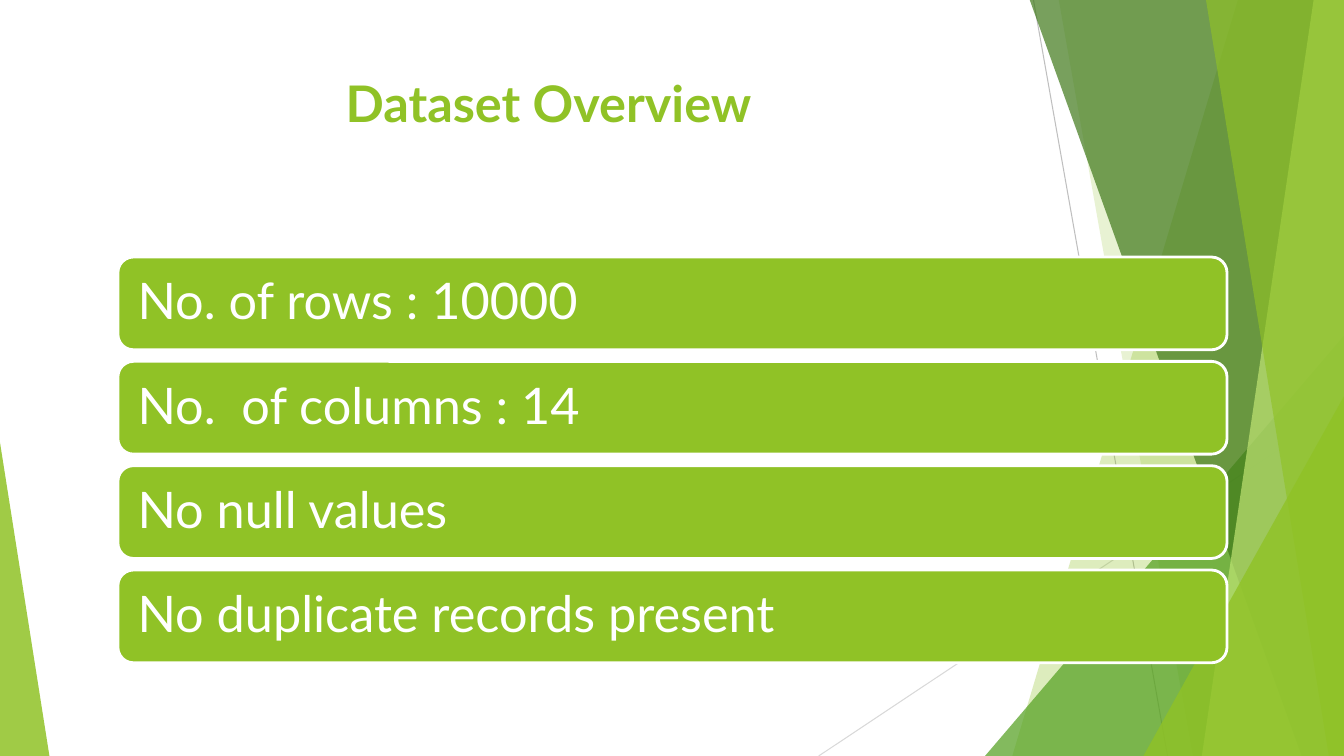
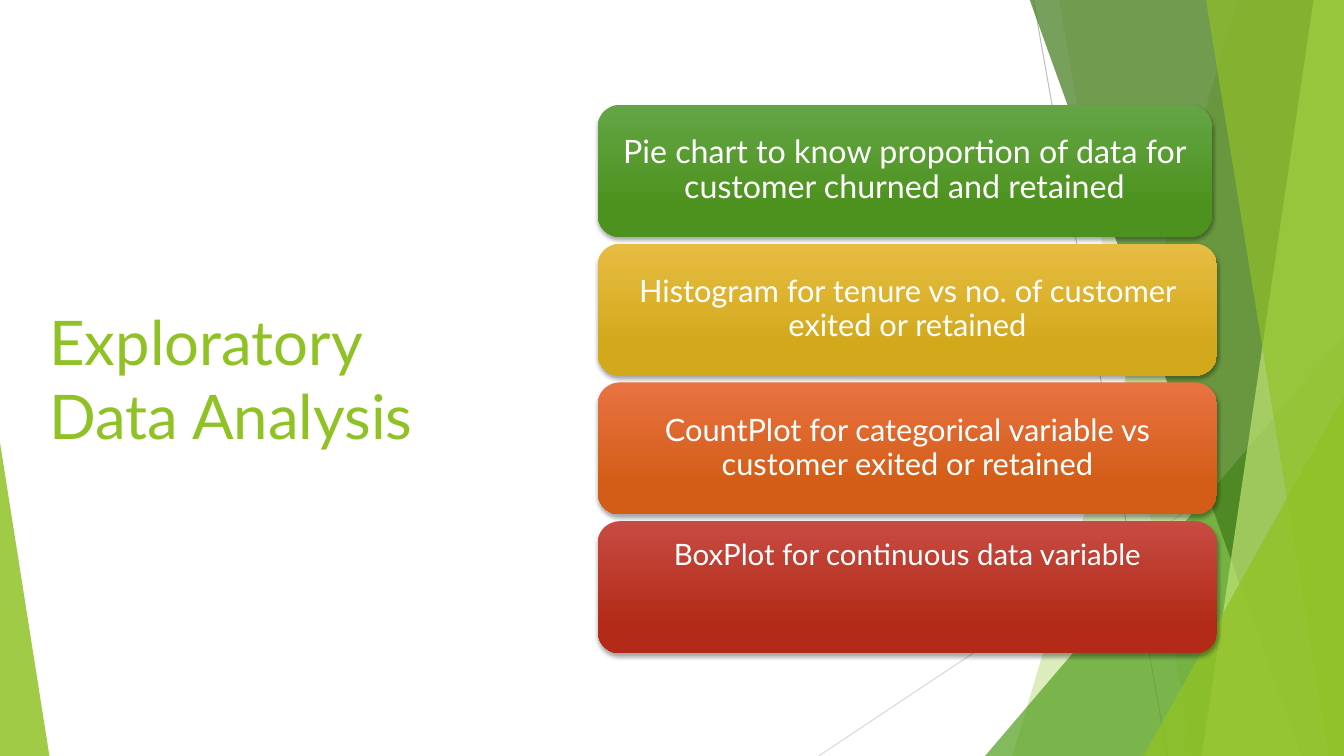
from pptx import Presentation
from pptx.dml.color import RGBColor
from pptx.enum import shapes, text
from pptx.oxml import ns, parse_xml
from pptx.util import Inches, Pt

COLORS = {
    "lime": "90C226", "green": "54A021", "forest": "3F7819", "pale": "C0E474",
    "white": "FFFFFF", "gray": "BFBFBF", "silver": "D9D9D9",
}
FONT = "Lato"
WIDTH, HEIGHT = 13.33, 7.5
BLEED = -0.01


def rgb(name):
    """Return the colour for a palette name or a hex string."""
    return RGBColor.from_string(COLORS.get(name, name))


def write(shape, words, size, color, align, anchor, insets, spacing=1.0, bold=False):
    """Set a shape's text as one formatted run; insets are across, top, bottom."""
    frame = shape.text_frame
    frame.word_wrap = True
    frame.auto_size = text.MSO_AUTO_SIZE.NONE
    frame.vertical_anchor = anchor
    across, top, bottom = insets
    frame.margin_left = frame.margin_right = Inches(across)
    frame.margin_top, frame.margin_bottom = Inches(top), Inches(bottom)
    paragraph = frame.paragraphs[0]
    paragraph.alignment = align
    paragraph.line_spacing = spacing
    run = paragraph.add_run()
    run.text = words
    run.font.name, run.font.size, run.font.bold = FONT, Pt(size), bold
    run.font.color.rgb = rgb(color)


LEFT, CENTER = text.PP_ALIGN.LEFT, text.PP_ALIGN.CENTER
TOP, MIDDLE = text.MSO_ANCHOR.TOP, text.MSO_ANCHOR.MIDDLE
TITLE_INSETS = (0.1, 0.05, 0.05)

deck = Presentation()
deck.slide_width, deck.slide_height = Inches(WIDTH), Inches(HEIGHT)
layout = deck.slide_layouts.get_by_name("Title Only")
overview = deck.slides.add_slide(layout)
analysis = deck.slides.add_slide(layout)

# Shared backdrop: drawn once, then moved into the layout
backdrop = []
thin_lines = [
    (10.25, 0, 11.58, HEIGHT, "gray"),
    (WIDTH, 4.03, 8.12, HEIGHT, "silver"),
]
for x1, y1, x2, y2, color in thin_lines:
    thin_line = overview.shapes.add_connector(
        shapes.MSO_CONNECTOR.STRAIGHT, Inches(x1), Inches(y1), Inches(x2), Inches(y2))
    thin_line.line.color.rgb = rgb(color)
    thin_line.line.width = Pt(0.75)
    thin_line.element.spPr.append(parse_xml(f"<a:effectLst {ns.nsdecls('a')}/>"))
    backdrop.append(thin_line)

# Bands reach from a slanted left edge (top x, bottom x) to the slide's right side;
# wedges are right triangles (left, top, width, height, tip) on the lower edge
facets = [
    ((12.28, 10.04), "lime", 30),
    ((10.5, 11.83), "lime", 20),
    ((9.77, 3.33, 3.56, 4.17, 1), "green", 72),
    ((10.21, 12.91), "forest", 70),
    ((13.03, 11.92), "pale", 70),
    ((11.96, 13.18), "lime", 65),
    ((11.34, 3.93, 1.99, 3.57, 1), "lime", 80),
    ((0, 4.39, 0.49, 3.11, 0), "lime", 85),
]
for geometry, color, opacity in facets:
    if len(geometry) == 2:
        top_x, bottom_x = geometry
        outline = overview.shapes.build_freeform(Inches(top_x), Inches(BLEED))
        corners = [(WIDTH, BLEED), (WIDTH, HEIGHT), (bottom_x, HEIGHT)]
        outline.add_line_segments([(Inches(x), Inches(y)) for x, y in corners])
        facet = outline.convert_to_shape()
    else:
        *box, tip = geometry
        facet = overview.shapes.add_shape(
            shapes.MSO_SHAPE.ISOSCELES_TRIANGLE, *map(Inches, box))
        facet.adjustments[0] = tip
    facet.shadow.inherit = False
    facet.line.fill.background()
    facet.fill.solid()
    facet.fill.fore_color.rgb = rgb(color)
    tint = facet.element.spPr.find(f".//{ns.qn('a:srgbClr')}")
    tint.append(parse_xml(f'<a:alpha {ns.nsdecls("a")} val="{opacity * 1000}"/>'))
    backdrop.append(facet)

for number, part in enumerate(backdrop, start=20):
    part.element.xpath(".//p:cNvPr")[0].set("id", str(number))
    layout.shapes.element.append(part.element)

# Titles
titles = [
    (overview, "Dataset Overview", (0.74, 0.67, 9.4, 1.44), 36, CENTER, TOP, True),
    (analysis, "Exploratory Data Analysis", (0.39, 1.51, 4.2, 4.48), 44, LEFT, MIDDLE, False),
]
for slide, words, box, size, align, anchor, bold in titles:
    title = slide.shapes.title
    title.left, title.top, title.width, title.height = map(Inches, box)
    write(title, words, size, "lime", align, anchor, TITLE_INSETS, bold=bold)

# Dataset facts
facts = ["No. of rows : 10000", "No.  of columns : 14", "No null values",
         "No duplicate records present"]
FACT_TOP, FACT_PITCH = 2.55, 1.035
for row, words in enumerate(facts):
    fact = overview.shapes.add_shape(
        shapes.MSO_SHAPE.ROUNDED_RECTANGLE, Inches(1.17),
        Inches(FACT_TOP + row * FACT_PITCH), Inches(11), Inches(0.92))
    fact.shadow.inherit = False
    fact.fill.solid()
    fact.fill.fore_color.rgb = rgb("lime")
    fact.line.color.rgb = rgb("white")
    fact.line.width = Pt(2)
    write(fact, words, 36, "white", LEFT, MIDDLE, (0.15, 0.15, 0.15), spacing=0.9)

# Analysis steps
steps = [
    ("Pie chart to know proportion of data for customer churned and retained",
     6.09, 23, ("63A545", "4D921E"), MIDDLE, (0.1, 0.05, 0.05)),
    ("Histogram for tenure vs no. of customer exited or retained",
     6.14, 22, ("E7BC43", "D2A91B"), MIDDLE, (0.09, 0.05, 0.05)),
    ("CountPlot for categorical variable vs customer exited or retained",
     6.14, 22, ("E87242", "D35D16"), MIDDLE, (0.09, 0.05, 0.05)),
    ("BoxPlot for continuous data variable",
     6.14, 21, ("C74B42", "B32B18"), TOP, (0.09, 0.12, 0.04)),
]
STEP_TOP, STEP_PITCH = 1.04, 1.377
for row, (words, width, size, shades, anchor, insets) in enumerate(steps):
    step = analysis.shapes.add_shape(
        shapes.MSO_SHAPE.ROUNDED_RECTANGLE, Inches(5.93),
        Inches(STEP_TOP + row * STEP_PITCH), Inches(width), Inches(1.31))
    step.line.fill.background()
    step.fill.gradient()
    step.fill.gradient_angle = 270
    for stop, shade, position in zip(step.fill.gradient_stops, shades, (0, 0.78)):
        stop.color.rgb = rgb(shade)
        stop.position = position
    step.shadow.inherit = False
    step.element.spPr.find(ns.qn("a:effectLst")).append(parse_xml(
        f'<a:outerShdw {ns.nsdecls("a")} blurRad="{Pt(3)}" dist="{Pt(2)}" dir="5400000" '
        'rotWithShape="0"><a:srgbClr val="000000"><a:alpha val="35000"/></a:srgbClr>'
        '</a:outerShdw>'))
    write(step, words, size, "white", CENTER, anchor, insets, spacing=0.9)

deck.save("out.pptx")
